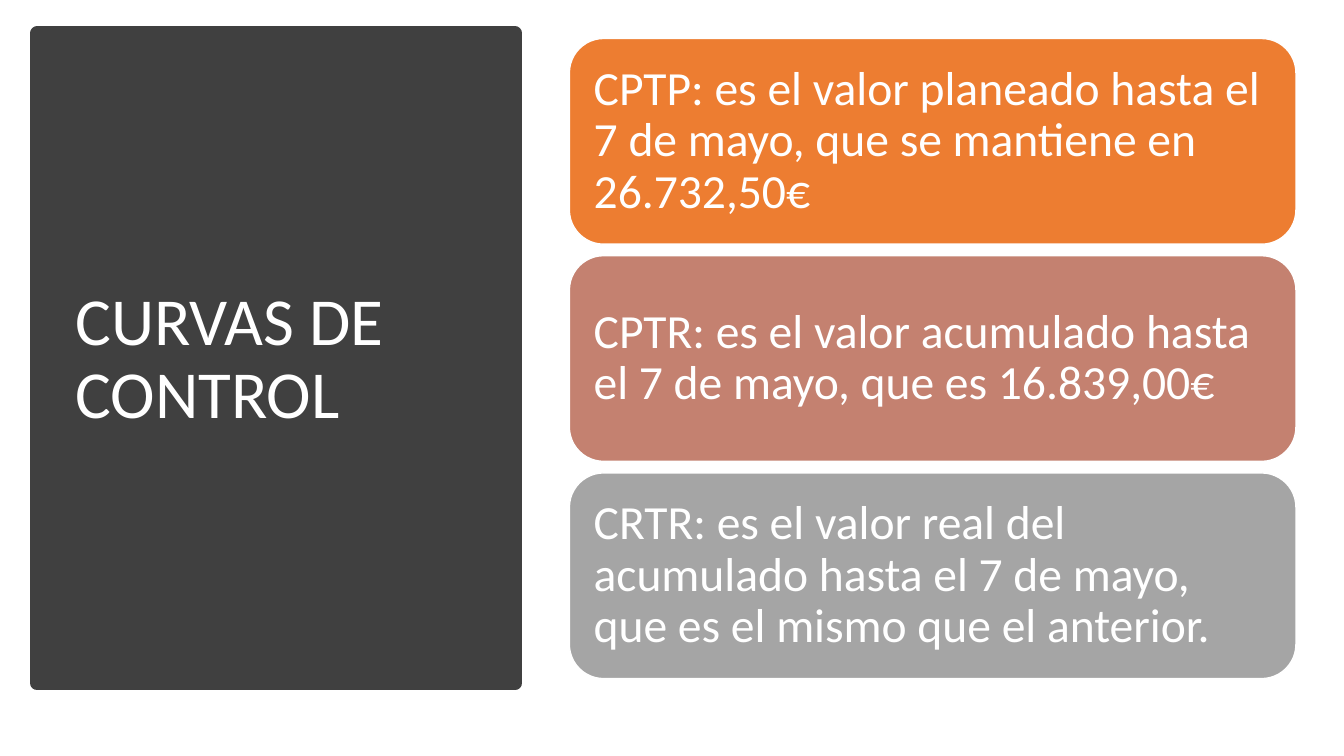
from pptx import Presentation
from pptx.dml.color import RGBColor
from pptx.enum.shapes import MSO_SHAPE
from pptx.enum.text import MSO_ANCHOR, PP_ALIGN
from pptx.util import Cm, Pt

FONT = "Calibri"
WHITE = "FFFFFF"
CHARCOAL = "404040"
CARDS = [
    ("ED7D31", "CPTP: es el valor planeado hasta el 7 de mayo, que se mantiene en 26.732,50€"),
    ("C48170", "CPTR: es el valor acumulado hasta el 7 de mayo, que es 16.839,00€"),
    ("A5A5A5", "CRTR: es el valor real del acumulado hasta el 7 de mayo, "
               "que es el mismo que el anterior."),
]


def color(hex_code):
    return RGBColor.from_string(hex_code)


def add_block(page, kind, box, fill, line, line_width):
    shape = page.shapes.add_shape(kind, *(Cm(length) for length in box))
    shape.shadow.inherit = False
    shape.fill.solid()
    shape.fill.fore_color.rgb = color(fill)
    shape.line.color.rgb = color(line)
    shape.line.width = Pt(line_width)
    return shape


def write_text(shape, text, size, inset_x, inset_y):
    """Write one white, left-aligned, vertically centred paragraph."""
    frame = shape.text_frame
    frame.word_wrap = True
    frame.vertical_anchor = MSO_ANCHOR.MIDDLE
    frame.margin_left = frame.margin_right = Cm(inset_x)
    frame.margin_top = frame.margin_bottom = Cm(inset_y)
    para = frame.paragraphs[0]
    para.alignment = PP_ALIGN.LEFT
    para.line_spacing = 0.9
    span = para.add_run()
    span.text = text
    span.font.name = FONT
    span.font.size = Pt(size)
    span.font.color.rgb = color(WHITE)


def add_title_panel(page, box, title):
    left, top, width, height = box
    add_block(page, MSO_SHAPE.RECTANGLE, box, CHARCOAL, CHARCOAL, 10)
    title_box = page.shapes.add_textbox(
        Cm(left + 0.71), Cm(top + 0.94), Cm(width - 1.47), Cm(height - 1.78))
    write_text(title_box, title, 48, 0.25, 0.13)


def add_card_stack(page, box, cards, gap):
    """Fill the box with rounded cards of equal height."""
    left, top, width, height = box
    card_height = (height - gap * (len(cards) - 1)) / len(cards)
    for index, (fill, text) in enumerate(cards):
        card_top = top + index * (card_height + gap)
        card = add_block(page, MSO_SHAPE.ROUNDED_RECTANGLE,
                         (left, card_top, width, card_height), fill, WHITE, 1)
        write_text(card, text, 34, 0.36, 0.36)


def main():
    deck = Presentation()
    deck.slide_width, deck.slide_height = Cm(33.87), Cm(19.05)
    page = deck.slides.add_slide(deck.slide_layouts[6])
    add_title_panel(page, (0.94, 0.84, 12.04, 16.38), "CURVAS DE CONTROL")
    add_card_stack(page, (14.35, 0.97, 18.31, 16.13), CARDS, gap=0.29)
    deck.save("out.pptx")


if __name__ == "__main__":
    main()
